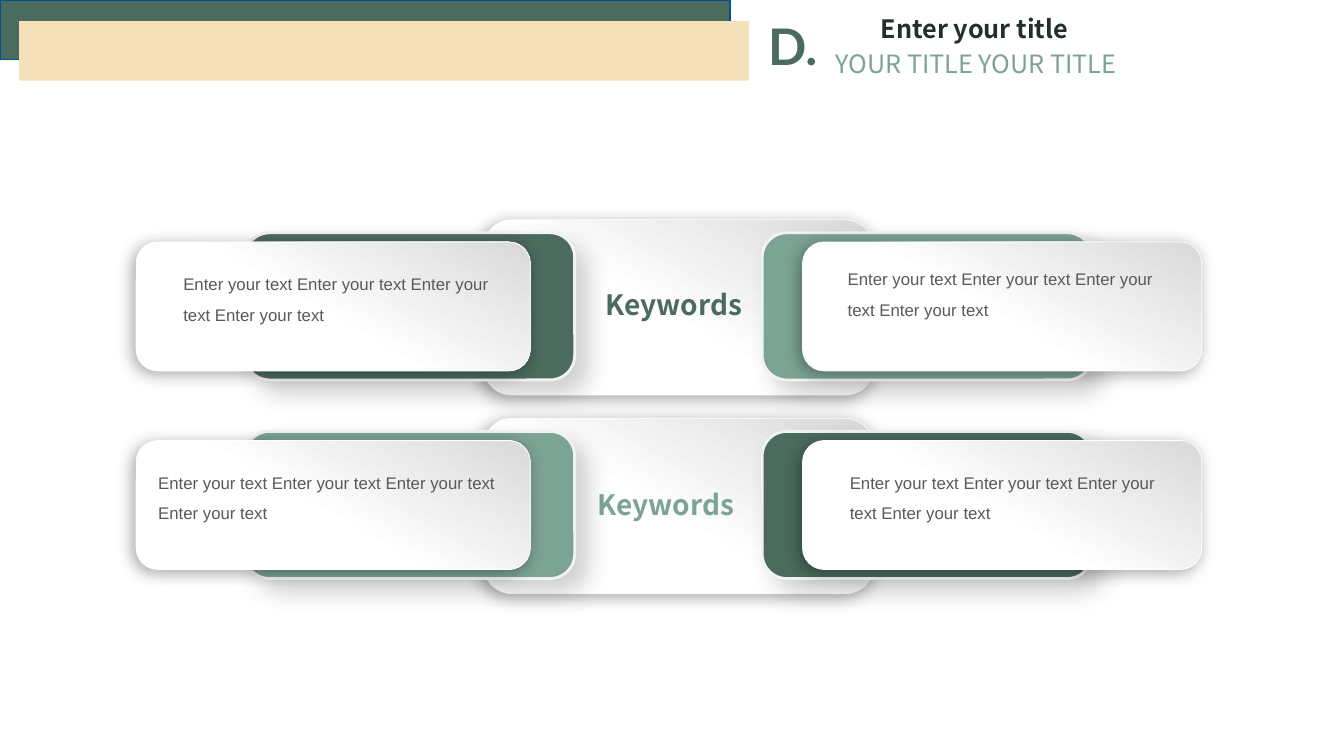
from dataclasses import dataclass

from lxml import etree
from pptx import Presentation
from pptx import util as u
from pptx.dml.color import RGBColor
from pptx.enum import shapes, text
from pptx.oxml.ns import qn


@dataclass(frozen=True)
class Theme:
    """Colours, fonts and type sizes of the slide."""
    dark: str = "4B6B5E"
    light: str = "7CA494"
    sand: str = "F5E1B9"
    outline: str = "00538E"
    ink: str = "242F2C"
    grey: str = "595959"
    white: str = "FFFFFF"
    silver: str = "D9D9D9"
    rim: str = "F2F2F2"
    heading: str = "Noto Sans CJK SC"
    letter: str = "Lato"
    body: str = "Arial"
    title_size: int = 18
    letter_size: int = 36
    keyword_size: int = 20
    body_size: int = 12


THEME = Theme()
RAISED = (34, 12, 3, 135)
FLOATING = (18, 17, 12, 45)


def inches(box):
    """Turn left, top, width and height into lengths."""
    return [u.Inches(round(side, 2)) for side in box]


def write(holder, words, font, size, colour, bold=False, align=text.PP_ALIGN.LEFT, spacing=None, wrap=True):
    """Put one formatted run in a shape's text frame."""
    frame = holder.text_frame
    frame.word_wrap = wrap
    frame.auto_size = text.MSO_AUTO_SIZE.SHAPE_TO_FIT_TEXT
    frame.vertical_anchor = text.MSO_ANCHOR.TOP
    paragraph = frame.paragraphs[0]
    paragraph.alignment = align
    if spacing:
        paragraph.line_spacing = spacing
    run = paragraph.add_run()
    run.text = words
    run.font.name, run.font.size, run.font.bold = font, u.Pt(size), bold
    run.font.color.rgb = RGBColor.from_string(colour)


def block(parent, kind, box, fill=None, line=None, width=0.5, shadow=None):
    """Add a filled shape; without a fill colour it gets the paper gradient."""
    shape = parent.add_shape(kind, *inches(box))
    if fill:
        shape.fill.solid()
        shape.fill.fore_color.rgb = RGBColor.from_string(fill)
    else:
        shape.fill.gradient()
        shape.fill.gradient_angle = 60
        stops = zip(shape.fill.gradient_stops, (0.45, 1), (THEME.white, THEME.silver))
        for stop, position, colour in stops:
            stop.position = position
            stop.color.rgb = RGBColor.from_string(colour)
    if line:
        shape.line.color.rgb = RGBColor.from_string(line)
        shape.line.width = u.Pt(width)
    else:
        shape.line.fill.background()
    shape.shadow.inherit = False
    if shadow:
        cast_shadow(shape, *shadow)


def cast_shadow(shape, opacity, blur, distance, angle):
    """Give a shape a soft black outer shadow."""
    effects = shape._element.spPr.find(qn("a:effectLst"))
    outer = etree.SubElement(effects, qn("a:outerShdw"), blurRad=str(u.Pt(blur)), dist=str(u.Pt(distance)),
                             dir=str(angle * 60000), algn="ctr", rotWithShape="0")
    black = etree.SubElement(outer, qn("a:srgbClr"), val="000000")
    etree.SubElement(black, qn("a:alpha"), val=str(opacity * 1000))


def paper(slide, box, label_box, words, **style):
    """Group a raised paper panel with its label, placed relative to the panel."""
    group = slide.shapes.add_group_shape().shapes
    block(group, shapes.MSO_SHAPE.ROUNDED_RECTANGLE, box, line=THEME.white, shadow=RAISED)
    dx, dy, width, height = label_box
    label = group.add_textbox(*inches((box[0] + dx, box[1] + dy, width, height)))
    write(label, words, **style)


def header(slide, left, top):
    """Draw the two bars, the section letter and both title lines."""
    rectangle = shapes.MSO_SHAPE.RECTANGLE
    block(slide.shapes, rectangle, (left, top, 7.24, 0.59), THEME.dark, THEME.outline, 1)
    block(slide.shapes, rectangle, (left + 0.19, top + 0.21, 7.24, 0.59), THEME.sand)
    title = slide.shapes.title
    title.left, title.top, title.width, title.height = inches((left + 8.1, top + 0.08, 3.13, 0.4))
    write(title, "Enter your title", THEME.heading, THEME.title_size, THEME.ink, True, text.PP_ALIGN.CENTER)
    letter = slide.shapes.add_textbox(*inches((left + 7.52, top + 0.1, 0.83, 0.71)))
    write(letter, "D.", THEME.letter, THEME.letter_size, THEME.dark, True, wrap=False)
    subtitle = slide.shapes.add_textbox(*inches((left + 8.19, top + 0.43, 3.13, 0.4)))
    write(subtitle, "YOUR TITLE YOUR TITLE", THEME.heading, THEME.title_size, THEME.light)


def keyword_row(slide, left, top, colours, keyword_box, note_boxes):
    """Draw a keyword panel with a coloured tab and a text card on each side."""
    paper(slide, (left + 3.44, top, 3.88, 1.74), keyword_box, "Keywords", font=THEME.heading,
          size=THEME.keyword_size, colour=colours[0], bold=True, align=text.PP_ALIGN.CENTER)
    for dx, colour in zip((1.08, 6.21), colours):
        block(slide.shapes, shapes.MSO_SHAPE.ROUNDED_RECTANGLE, (left + dx, top + 0.13, 3.27, 1.46),
              colour, THEME.rim, 2, FLOATING)
    for dx, width, note_box in zip((0, 6.61), (3.91, 3.96), note_boxes):
        paper(slide, (left + dx, top + 0.22, width, 1.28), note_box,
              "Enter your text Enter your text Enter your text Enter your text",
              font=THEME.body, size=THEME.body_size, colour=THEME.grey, spacing=1.5)


def main():
    """Build the slide and save it."""
    deck = Presentation()
    deck.slide_width, deck.slide_height = u.Inches(13.33), u.Inches(7.5)
    slide = deck.slides.add_slide(deck.slide_layouts.get_by_name("Title Only"))
    header(slide, 0, 0)
    rows = (
        ((THEME.dark, THEME.light), (1.1, 0.62, 1.59, 0.44),
         ((0.37, 0.17, 3.33, 0.67), (0.35, 0.12, 3.33, 0.67))),
        ((THEME.light, THEME.dark), (1.02, 0.64, 1.59, 0.44),
         ((0.12, 0.17, 3.58, 0.67), (0.37, 0.17, 3.31, 0.67))),
    )
    for index, row in enumerate(rows):
        keyword_row(slide, 1.35, 2.18 + 1.97 * index, *row)
    deck.save("out.pptx")


if __name__ == "__main__":
    main()
